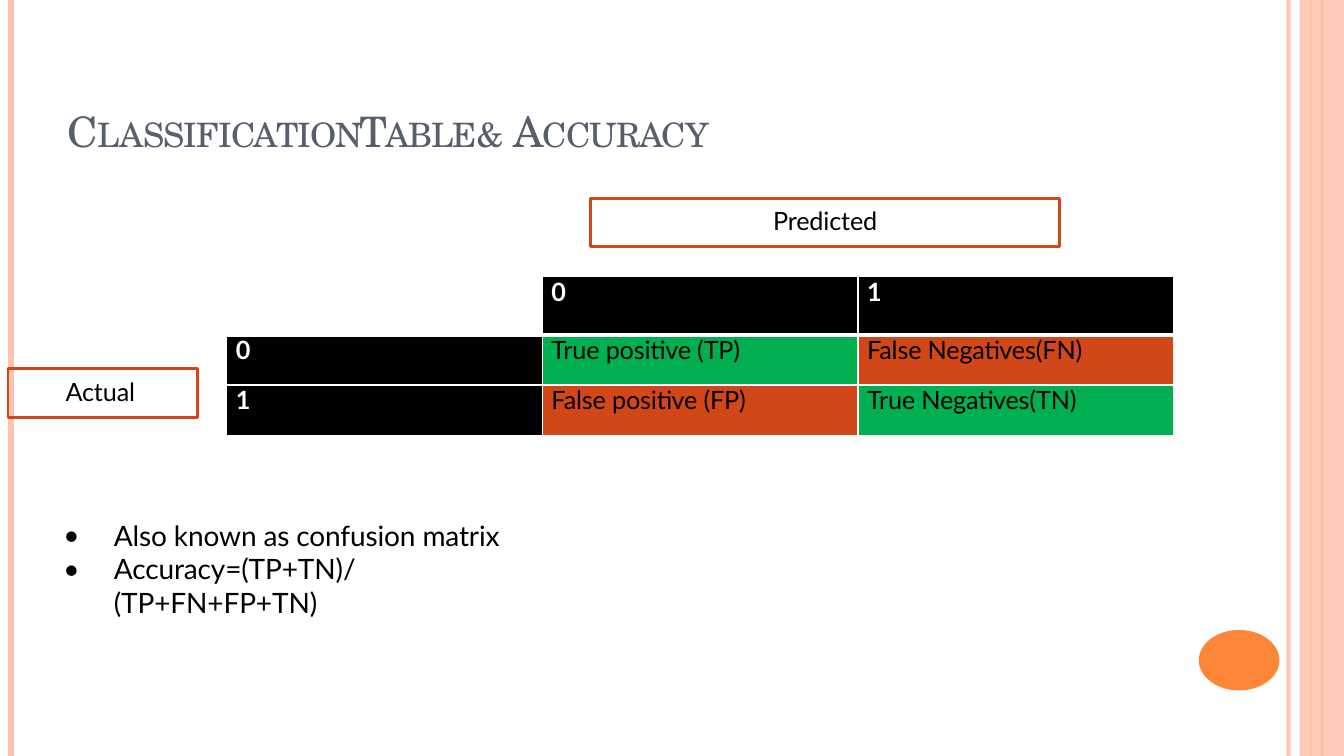
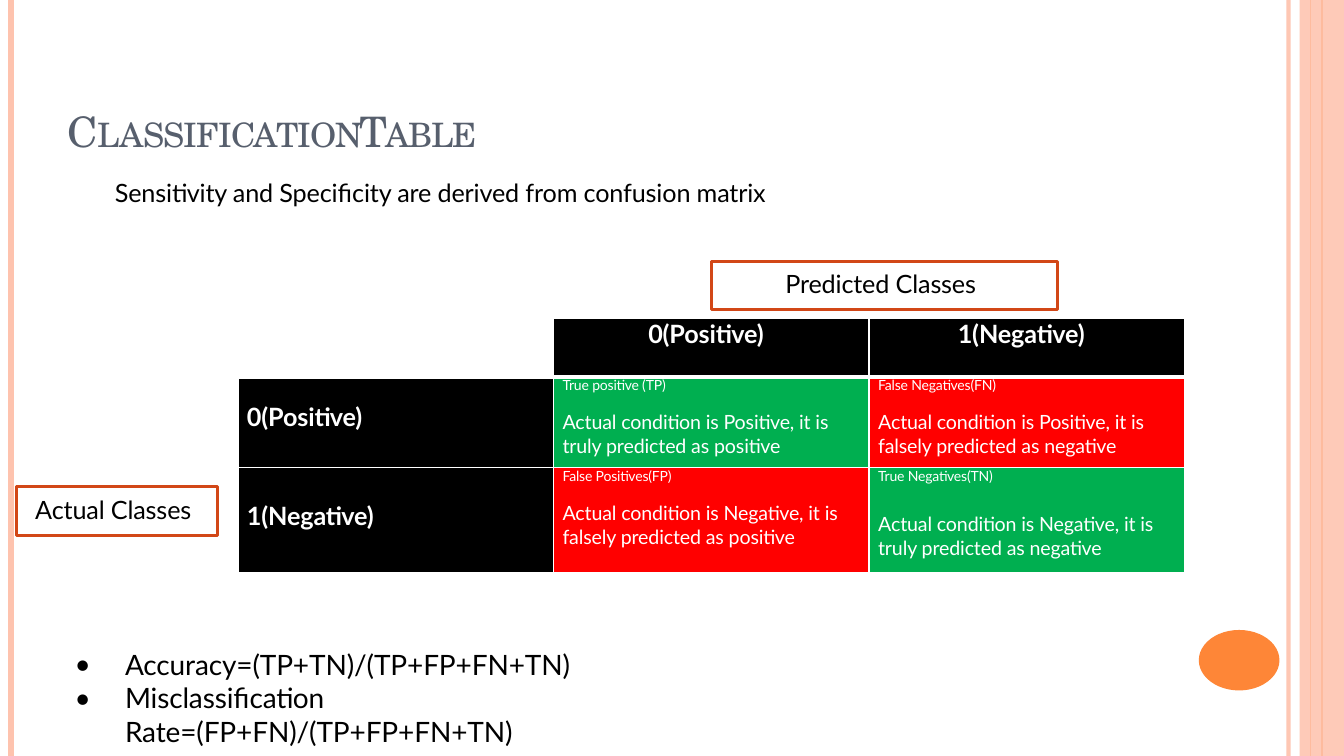
from dataclasses import dataclass

from lxml.etree import SubElement
from pptx import Presentation
from pptx.dml.color import RGBColor
from pptx.enum.shapes import MSO_CONNECTOR, MSO_SHAPE
from pptx.enum.text import MSO_ANCHOR, MSO_AUTO_SIZE, PP_ALIGN
from pptx.oxml.ns import qn
from pptx.util import Inches, Pt

BODY_FONT, TITLE_FONT = "Lato", "TeX Gyre Schola"
BLACK, WHITE, SLATE = "000000", "FFFFFF", "575F6D"
PINK, ORANGE, RUST = "FEC3AE", "FE8637", "D24717"
GREEN, RED = "00AF50", "FF0000"
SLIDE_W, SLIDE_H = 13.33, 7.5
COLUMN_W, CELL_INSET = 3.13, 0.09
TIGHT = -0.1


@dataclass(frozen=True)
class Stripe:
    """A vertical line of the shared frame."""
    x: float
    color: str
    width: float
    opacity: int = 100


@dataclass(frozen=True)
class AxisLabel:
    """An outlined label beside the table; without an inset it is centred."""
    text: str
    left: float
    top: float
    width: float
    inset: float = 0


@dataclass(frozen=True)
class Cell:
    """A table cell with a heading and an optional explanation."""
    text: str
    fill: str = BLACK
    color: str = WHITE
    size: float = 18
    bold: bool = False
    left: float = CELL_INSET
    top: float = 0
    detail: str = ""
    gap: float = 12


@dataclass(frozen=True)
class Matrix:
    """A confusion matrix and its place."""
    left: float
    top: float
    row_heights: list[float]
    rows: list[list[Cell | None]]


@dataclass(frozen=True)
class Notes:
    """A block of plain or bulleted lines."""
    left: float
    top: float
    width: float
    height: float
    size: float
    lines: list[str]
    bulleted: bool = True


@dataclass(frozen=True)
class Page:
    """All content of one slide."""
    title: list[tuple[str, float]]
    matrix: Matrix
    labels: list[AxisLabel]
    notes: list[Notes]


STRIPES = [
    Stripe(12.78, PINK, 3, 93),
    Stripe(0.11, PINK, 4.5),
    Stripe(13.11, ORANGE, 1.5),
    Stripe(13, ORANGE, 0.75),
]


def rgb(color: str) -> RGBColor:
    """Turn a hex string into a colour."""
    return RGBColor.from_string(color)


def set_opacity(properties, percent: int) -> None:
    """Make the solid colour within the properties translucent."""
    for color in properties.iter(qn("a:srgbClr")):
        SubElement(color, qn("a:alpha"), val=str(percent * 1000))


def style_run(run, size: float, color: str, font: str = BODY_FONT,
              bold: bool = False, spacing: float = TIGHT) -> None:
    """Format a run of text."""
    run.font.name, run.font.size, run.font.bold = font, Pt(size), bold
    run.font.color.rgb = rgb(color)
    run.font._element.set("spc", str(round(spacing * 100)))


def set_margins(frame, left: float = 0, top: float = 0) -> None:
    """Set the insets of a text frame or cell."""
    frame.margin_left, frame.margin_top = Inches(left), Inches(top)
    frame.margin_right = frame.margin_bottom = 0


def add_frame(slide) -> None:
    """Draw the stripes, side band and disc shared by the slides."""
    for stripe in STRIPES:
        line = slide.shapes.add_connector(
            MSO_CONNECTOR.STRAIGHT, Inches(stripe.x), 0, Inches(stripe.x), Inches(SLIDE_H))
        line.line.color.rgb, line.line.width = rgb(stripe.color), Pt(stripe.width)
        if stripe.opacity < 100:
            set_opacity(line._element.spPr, stripe.opacity)
        SubElement(line._element.spPr, qn("a:effectLst"))
    band = add_solid(slide, MSO_SHAPE.RECTANGLE, PINK, 12.89, 0, 0.44, SLIDE_H)
    set_opacity(band._element.spPr, 87)
    add_solid(slide, MSO_SHAPE.OVAL, ORANGE, 11.89, 6.25, 0.8, 0.6)


def add_solid(slide, preset: MSO_SHAPE, color: str, left: float, top: float,
              width: float, height: float):
    """Add a filled shape without an outline."""
    solid = slide.shapes.add_shape(
        preset, Inches(left), Inches(top), Inches(width), Inches(height))
    solid.shadow.inherit = False
    solid.fill.solid()
    solid.fill.fore_color.rgb = rgb(color)
    solid.line.fill.background()
    return solid


def set_title(slide, parts: list[tuple[str, float]]) -> None:
    """Place the title and fill it with small capitals."""
    title = slide.shapes.title
    title.left, title.top = Inches(0.67), Inches(0.3)
    title.width, title.height = Inches(10.89), Inches(1.25)
    frame = title.text_frame
    frame.auto_size, frame.vertical_anchor = MSO_AUTO_SIZE.NONE, MSO_ANCHOR.BOTTOM
    set_margins(frame)
    paragraph = frame.paragraphs[0]
    paragraph.alignment = PP_ALIGN.LEFT
    for text, spacing in parts:
        run = paragraph.add_run()
        run.text = text
        style_run(run, 30, SLATE, TITLE_FONT, spacing=spacing)
        run.font._element.set("cap", "small")


def add_label(slide, label: AxisLabel) -> None:
    """Draw an outlined axis label."""
    box = slide.shapes.add_shape(
        MSO_SHAPE.RECTANGLE, Inches(label.left), Inches(label.top),
        Inches(label.width), Inches(0.48))
    box.shadow.inherit = False
    box.fill.background()
    box.line.color.rgb, box.line.width = rgb(RUST), Pt(2.04)
    frame = box.text_frame
    frame.vertical_anchor = MSO_ANCHOR.TOP
    set_margins(frame, label.inset, 0.07)
    frame.text = label.text
    paragraph = frame.paragraphs[0]
    paragraph.alignment = PP_ALIGN.LEFT if label.inset else PP_ALIGN.CENTER
    style_run(paragraph.runs[0], 18, BLACK)


def add_notes(slide, notes: Notes) -> None:
    """Write a block of lines."""
    box = slide.shapes.add_textbox(
        Inches(notes.left), Inches(notes.top), Inches(notes.width), Inches(notes.height))
    frame = box.text_frame
    frame.word_wrap = True
    set_margins(frame)
    frame.text = "\n".join(notes.lines)
    for paragraph in frame.paragraphs:
        style_run(paragraph.runs[0], notes.size, BLACK)
        if notes.bulleted:
            properties = paragraph._p.get_or_add_pPr()
            properties.set("marL", str(Inches(0.51)))
            properties.set("indent", str(Inches(-0.5)))
            SubElement(properties, qn("a:buFont"), typeface=BODY_FONT)
            SubElement(properties, qn("a:buChar"), char="•")


def set_borders(table_cell, row: int) -> None:
    """Draw white cell borders, heavier below the header row."""
    properties = table_cell._tc.get_or_add_tcPr()
    heavy = {0: "lnB", 1: "lnT"}.get(row)
    for side in ("lnL", "lnR", "lnT", "lnB"):
        width = Pt(3 if side == heavy else 1)
        border = SubElement(properties, qn(f"a:{side}"), w=str(width))
        SubElement(SubElement(border, qn("a:solidFill")), qn("a:srgbClr"), val=WHITE)


def fill_cell(table_cell, cell: Cell) -> None:
    """Colour a cell and write its text."""
    table_cell.fill.solid()
    table_cell.fill.fore_color.rgb = rgb(cell.fill)
    set_margins(table_cell, cell.left, cell.top)
    frame = table_cell.text_frame
    frame.text = cell.text
    style_run(frame.paragraphs[0].runs[0], cell.size, cell.color, bold=cell.bold)
    if cell.detail:
        detail = frame.add_paragraph()
        detail.text = cell.detail
        detail.space_before = Pt(cell.gap)
        style_run(detail.runs[0], 14, cell.color)


def add_matrix(slide, matrix: Matrix) -> None:
    """Build the confusion matrix as a table."""
    count = len(matrix.rows[0])
    table = slide.shapes.add_table(
        len(matrix.rows), count, Inches(matrix.left), Inches(matrix.top),
        Inches(COLUMN_W * count), Inches(sum(matrix.row_heights))).table
    table.first_row = table.horz_banding = False
    for column in table.columns:
        column.width = Inches(COLUMN_W)
    for row, (height, cells) in enumerate(zip(matrix.row_heights, matrix.rows)):
        table.rows[row].height = Inches(height)
        for column, cell in enumerate(cells):
            table_cell = table.cell(row, column)
            set_borders(table_cell, row)
            if cell:
                fill_cell(table_cell, cell)
            else:
                table_cell.fill.background()


def heading(text: str, left: float = CELL_INSET, top: float = 0) -> Cell:
    """Describe a black heading cell."""
    return Cell(text, bold=True, left=left, top=top)


def outcome(text: str, fill: str, detail: str, gap: float = 12) -> Cell:
    """Describe an outcome with its explanation."""
    return Cell(text, fill, size=10, detail=f"Actual condition is {detail}", gap=gap)


PAGES = [
    Page(
        [("Classification ", -0.6), ("Table ", -1), ("& ", 0), ("Accuracy", -0.6)],
        Matrix(2.25, 2.74, [0.58, 0.5, 0.5], [
            [None, heading("0"), heading("1")],
            [heading("0"), Cell("True positive (TP)", GREEN, BLACK),
             Cell("False Negatives(FN)", RUST, BLACK)],
            [heading("1"), Cell("False positive (FP)", RUST, BLACK),
             Cell("True Negatives(TN)", GREEN, BLACK)],
        ]),
        [AxisLabel("Actual", 0.08, 3.66, 1.88, 0.57),
         AxisLabel("Predicted", 5.86, 1.97, 4.65)],
        [Notes(0.62, 5.14, 4.87, 0.68, 20,
               ["Also known as confusion matrix", "Accuracy=(TP+TN)/(TP+FN+FP+TN)"])],
    ),
    Page(
        [("Classification ", -0.6), ("Table", -1)],
        Matrix(2.36, 3.16, [0.58, 0.9, 1.04], [
            [None, heading("0(Positive)", 0.94), heading("1(Negative)", 0.88)],
            [heading("0(Positive)", top=0.24),
             outcome("True positive (TP)", GREEN,
                     "Positive, it is truly predicted as positive"),
             outcome("False Negatives(FN)", RED,
                     "Positive, it is falsely predicted as negative")],
            [heading("1(Negative)", top=0.33),
             outcome("False Positives(FP)", RED,
                     "Negative, it is falsely predicted as positive"),
             outcome("True Negatives(TN)", GREEN,
                     "Negative, it is truly predicted as negative", 20)],
        ]),
        [AxisLabel("Actual Classes", 0.16, 4.83, 2, 0.19),
         AxisLabel("Predicted Classes", 7.06, 2.59, 3.43, 0.73)],
        [Notes(0.73, 6.42, 6.38, 0.68, 20,
               ["Accuracy=(TP+TN)/(TP+FP+FN+TN)",
                "Misclassification Rate=(FP+FN)/(TP+FP+FN+TN)"]),
         Notes(1.14, 1.76, 6.83, 0.3, 18,
               ["Sensitivity and Specificity are derived from confusion matrix"], False)],
    ),
]


def main() -> None:
    """Build and save the presentation."""
    deck = Presentation()
    deck.slide_width, deck.slide_height = Inches(SLIDE_W), Inches(SLIDE_H)
    for page in PAGES:
        slide = deck.slides.add_slide(deck.slide_layouts[5])
        add_frame(slide)
        set_title(slide, page.title)
        add_matrix(slide, page.matrix)
        for label in page.labels:
            add_label(slide, label)
        for notes in page.notes:
            add_notes(slide, notes)
    deck.save("out.pptx")


if __name__ == "__main__":
    main()
